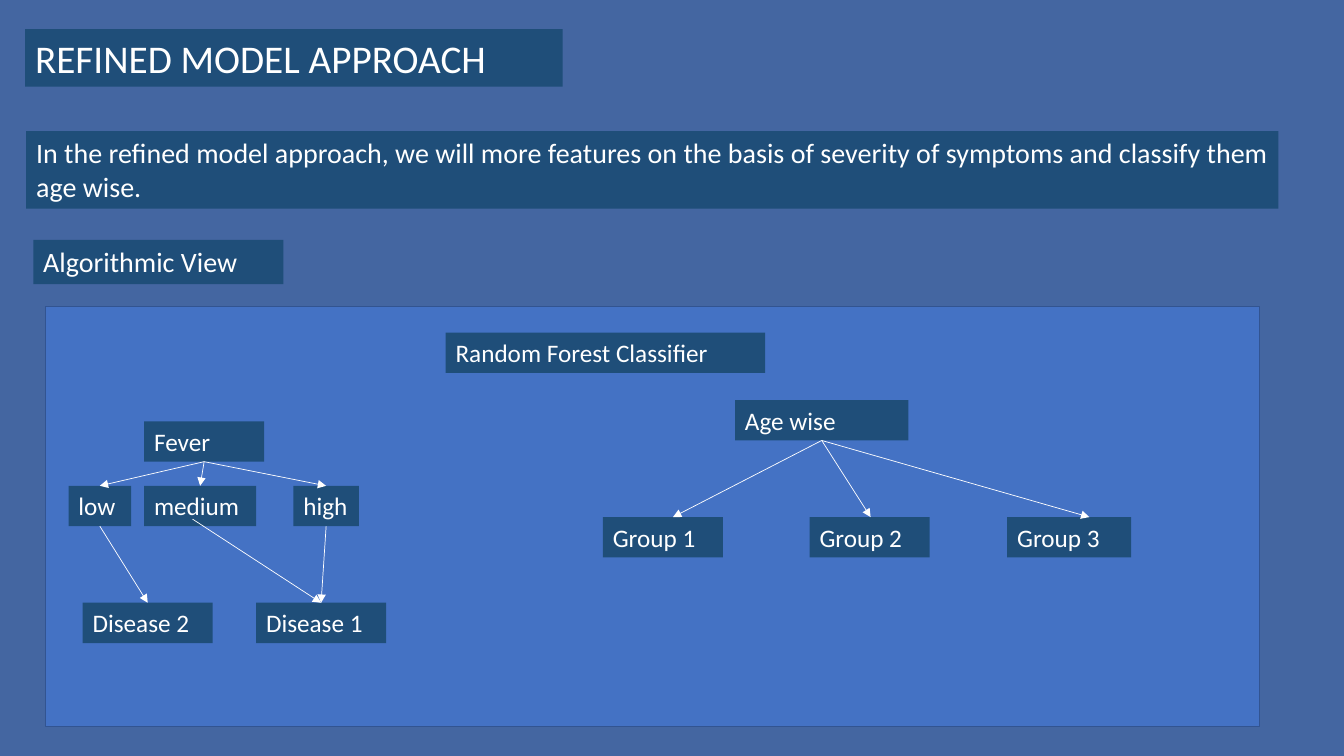
from lxml.etree import SubElement
from pptx import Presentation
from pptx.dml.color import RGBColor
from pptx.enum.shapes import MSO_CONNECTOR, MSO_SHAPE
from pptx.enum.text import MSO_AUTO_SIZE
from pptx.oxml.ns import qn
from pptx.util import Inches, Pt

CELL = Inches(0.1)
BACK = RGBColor(0x44, 0x66, 0xA1)
NAVY = RGBColor(0x1F, 0x4E, 0x79)
BLUE = RGBColor(0x44, 0x72, 0xC4)
EDGE = RGBColor(0x32, 0x54, 0x91)
WHITE = RGBColor(0xFF, 0xFF, 0xFF)
ROW = 4


def grid(*cells):
    """Turn grid cells into slide lengths."""
    return [round(n * CELL) for n in cells]


def style(item, values):
    """Set each format value on an item."""
    for name, value in values.items():
        setattr(item, name, value)


def label(slide, box, text, size=18):
    """Place a filled text label and return its box."""
    shape = slide.shapes.add_textbox(*grid(*box))
    shape.fill.solid()
    shape.fill.fore_color.rgb = NAVY
    frame = shape.text_frame
    style(frame, {"word_wrap": True, "auto_size": MSO_AUTO_SIZE.SHAPE_TO_FIT_TEXT})
    run = frame.paragraphs[0].add_run()
    run.text = text
    style(run.font, {"size": Pt(size), "name": "Calibri"})
    run.font.color.rgb = WHITE
    return box


def head(box, shift=0):
    """Give the top middle of a box, moved sideways by a shift."""
    x, y, w, h = box
    return x + w / 2 + shift, y


def foot(box):
    """Give the bottom middle of a box."""
    x, y, w, h = box
    return x + w / 2, y + h


def arrow(slide, start, end):
    """Draw a thin white arrow between two points."""
    line = slide.shapes.add_connector(MSO_CONNECTOR.STRAIGHT, *grid(*start, *end))
    line.line.width = Pt(0.5)
    line.line.color.rgb = WHITE
    SubElement(line.line._get_or_add_ln(), qn("a:tailEnd"), type="triangle")
    SubElement(line._element.spPr, qn("a:effectLst"))


def tree(slide, box, root, drop, leaves):
    """Place a root over a row of leaves, join them and return the leaves."""
    x, y = box[:2]
    text, col, wide = root
    top = label(slide, (x + col, y, wide, ROW), text)
    boxes = []
    for text, col, wide, shift in leaves:
        leaf = label(slide, (x + col, y + drop, wide, ROW), text)
        arrow(slide, foot(top), head(leaf, shift))
        boxes.append(leaf)
    return boxes


def fever(slide, box):
    """Place the fever tree and the diseases it leads to."""
    x, y = box[:2]
    leaves = [("low", 0, 6.2, 0), ("medium", 7.5, 11.1, 0), ("high", 22.3, 6.5, 0)]
    low, medium, high = tree(slide, box, ("Fever", 7.5, 11.9), 6.4, leaves)
    second, first = [
        label(slide, (x + col, y + 18, 12.9, ROW), text)
        for text, col in (("Disease 2", 1.4), ("Disease 1", 18.6))
    ]
    arrow(slide, foot(low), head(second))
    arrow(slide, foot(high), head(first))
    arrow(slide, (x + 12.3, y + 9.7), head(first))


def panel(slide, box):
    """Place the classifier panel with its two trees."""
    x, y, w, h = box
    shape = slide.shapes.add_shape(MSO_SHAPE.RECTANGLE, *grid(*box))
    shape.shadow.inherit = False
    shape.fill.solid()
    shape.fill.fore_color.rgb = BLUE
    shape.line.color.rgb = EDGE
    shape.line.width = Pt(1)
    label(slide, (x + 39.7, y + 2.6, 31.7, ROW), "Random Forest Classifier")
    fever(slide, (x + 2.3, y + 11.4, 31.5, 22))
    groups = [("Group 1", 0, 11.9, 1), ("Group 2", 20.5, 11.9, 0.1), ("Group 3", 40.1, 12.3, 2)]
    tree(slide, (x + 55.3, y + 9.3, 52.4, 15.6), ("Age wise", 13.1, 17.2), 11.6, groups)


def intro(slide, box):
    """Place the title, the summary and the view heading."""
    x, y, w, h = box
    label(slide, (x, y, 53.3, 5.7), "REFINED MODEL APPROACH", 28)
    label(
        slide,
        (x + 0.1, y + 10.1, w, 7.7),
        "In the refined model approach, we will more features on the basis of "
        "severity of symptoms and classify them age wise.",
        20,
    )
    label(slide, (x + 0.8, y + 20.9, 24.8, 4.4), "Algorithmic View", 20)


def main():
    """Build and save the slide."""
    deck = Presentation()
    style(deck, {"slide_width": Inches(13.33), "slide_height": Inches(7.5)})
    slide = deck.slides.add_slide(deck.slide_layouts[6])
    slide.background.fill.solid()
    slide.background.fill.fore_color.rgb = BACK
    intro(slide, (2.5, 2.9, 124.2, 25.3))
    panel(slide, (4.5, 30.4, 120.4, 41.7))
    deck.save("out.pptx")


if __name__ == "__main__":
    main()
